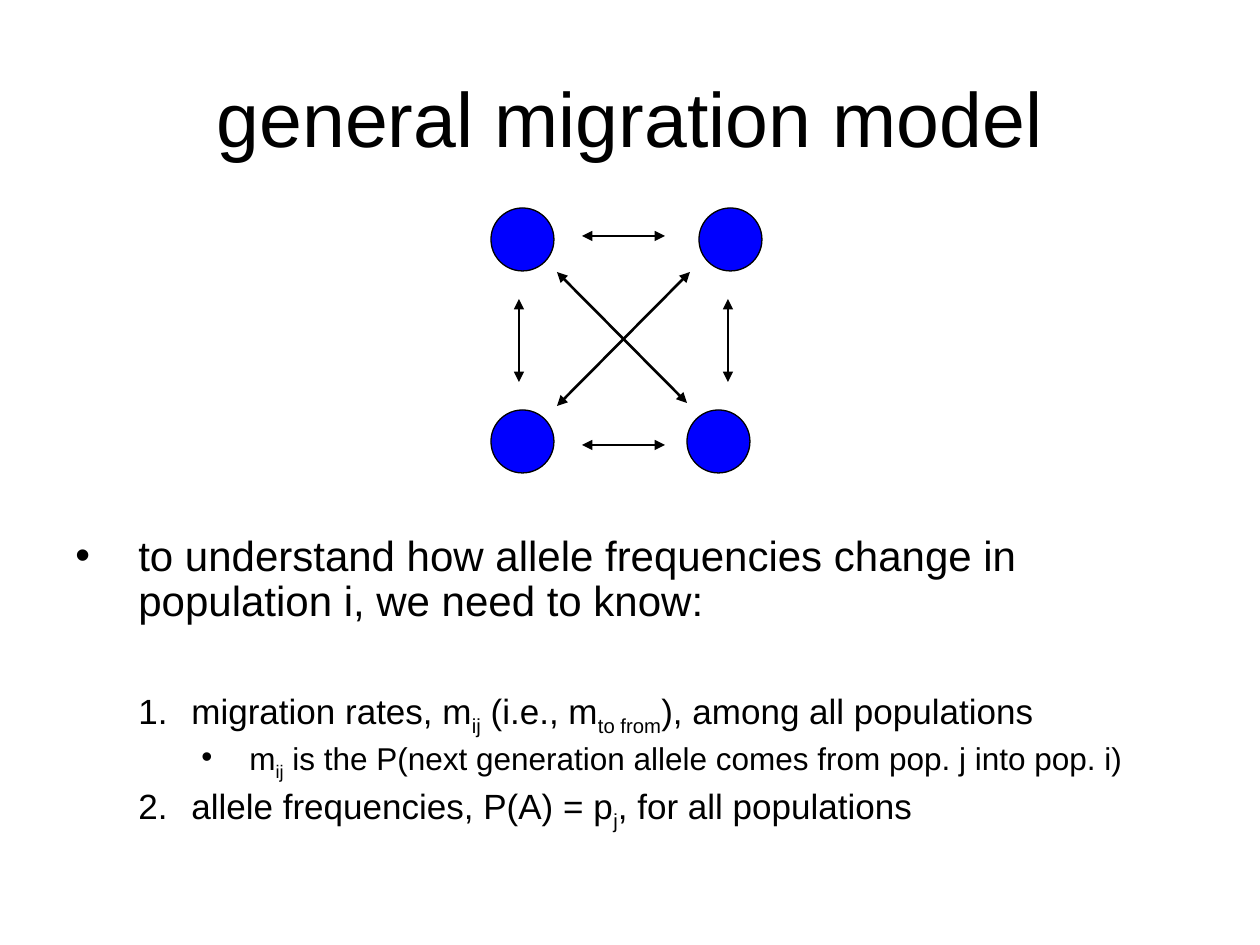
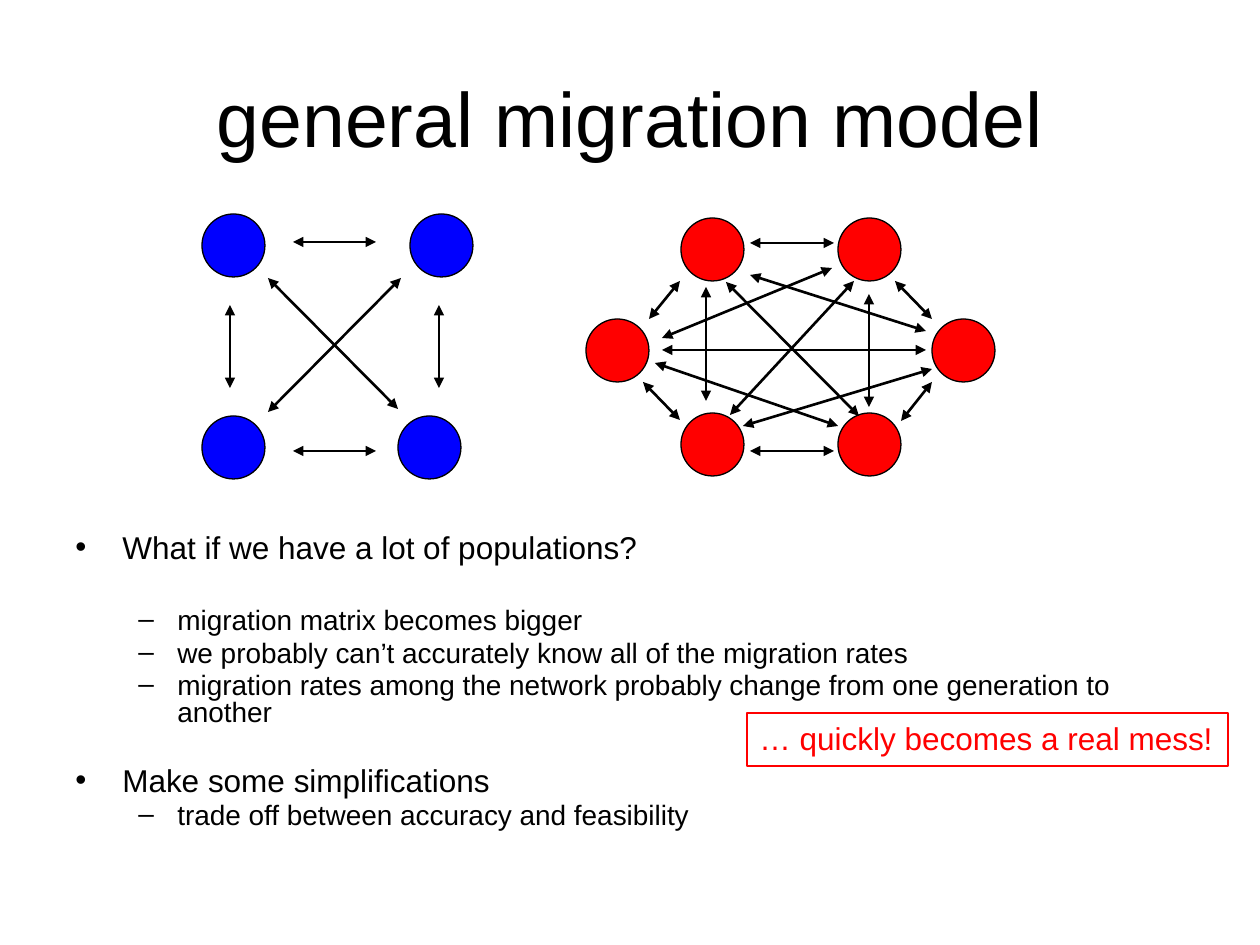
import pptx
import pptx.util
import pptx.dml.color
import pptx.enum.shapes
import pptx.enum.text
import pptx.oxml.ns
import lxml.etree

BLACK = pptx.dml.color.RGBColor(0, 0, 0)
BLUE = pptx.dml.color.RGBColor(0, 0, 255)
RED = pptx.dml.color.RGBColor(255, 0, 0)
FONT = "Arial"
TITLE = "general migration model"
SCALE = 914400 / 126
DOT = 63

SQUARE_DOTS = [(0, 0), (208, 0), (0, 202), (196, 202)]
SQUARE_ARROWS = [
    (91, 28, 174, 28), (91, 237, 174, 237),
    (237, 91, 237, 174), (28, 91, 28, 174),
    (199, 64, 66, 198), (66, 64, 196, 195),
]
HEX_DOTS = [(95, 0), (252, 0), (0, 101), (346, 101), (95, 195), (252, 195)]
HEX_ARROWS = [
    (164, 25, 248, 25), (164, 233, 248, 233),
    (57, 164, 94, 202), (309, 63, 346, 101),
    (94, 63, 63, 101), (346, 164, 315, 203),
    (120, 69, 120, 183), (283, 76, 283, 189),
    (268, 63, 144, 197), (140, 64, 273, 198),
    (346, 151, 157, 208), (246, 50, 76, 120),
    (69, 145, 252, 208), (76, 132, 340, 132),
    (340, 113, 164, 57),
]


def px(num):
    return pptx.util.Emu(round(num * SCALE))


def add(node, tag, **attrs):
    return lxml.etree.SubElement(node, pptx.oxml.ns.qn(tag), **attrs)


def style(run, size, color):
    run.font.name = FONT
    run.font.size = pptx.util.Pt(size)
    run.font.color.rgb = color


def add_slide(deck):
    slide = deck.slides.add_slide(deck.slide_layouts[5])
    title = slide.shapes.title
    title.left, title.top = px(63), px(38)
    title.width, title.height = px(1134), px(157)
    frame = title.text_frame
    frame.text = TITLE
    frame.vertical_anchor = pptx.enum.text.MSO_ANCHOR.MIDDLE
    para = frame.paragraphs[0]
    para.alignment = pptx.enum.text.PP_ALIGN.CENTER
    style(para.runs[0], 44, BLACK)
    return slide


def add_dot(slide, left, top, color):
    oval = pptx.enum.shapes.MSO_SHAPE.OVAL
    dot = slide.shapes.add_shape(oval, px(left), px(top), px(DOT), px(DOT))
    dot.shadow.inherit = False
    dot.fill.solid()
    dot.fill.fore_color.rgb = color
    dot.line.color.rgb = BLACK
    dot.line.width = pptx.util.Pt(0.75)


def add_arrow(slide, *ends):
    kind = pptx.enum.shapes.MSO_CONNECTOR.STRAIGHT
    arrow = slide.shapes.add_connector(kind, *map(px, ends))
    arrow.line.color.rgb = BLACK
    arrow.line.width = pptx.util.Pt(1.5)
    line = arrow.line._get_or_add_ln()
    add(line, "a:headEnd", type="triangle")
    add(line, "a:tailEnd", type="triangle")
    add(arrow._element.spPr, "a:effectLst")


def add_net(slide, left, top, dots, arrows, color):
    for x, y in dots:
        add_dot(slide, left + x, top + y, color)
    for x1, y1, x2, y2 in arrows:
        add_arrow(slide, left + x1, top + y1, left + x2, top + y2)


def set_bullet(para, mark, margin, indent):
    props = para._p.get_or_add_pPr()
    props.set("marL", str(px(margin)))
    props.set("indent", str(-px(indent)))
    add(props, "a:buFont", typeface=FONT)
    if mark == "1.":
        add(props, "a:buAutoNum", type="arabicPeriod")
    else:
        add(props, "a:buChar", char=mark)


def set_gap(para, gap):
    if gap:
        para.space_before = pptx.util.Pt(gap)
        return
    para.space_before = pptx.util.Pt(0)
    space = para._p.pPr.find(pptx.oxml.ns.qn("a:spcBef"))
    space.remove(space[0])
    add(space, "a:spcPct", val="20000")


def add_body(slide, levels, lines, spacing):
    box = slide.shapes.add_textbox(px(63), px(529), px(1134), px(315))
    frame = box.text_frame
    frame.word_wrap = True
    for i, (level, gap, text) in enumerate(lines):
        para = frame.add_paragraph() if i else frame.paragraphs[0]
        mark, size, margin, indent = levels[level]
        para.level = level
        para.line_spacing = spacing
        set_gap(para, gap)
        set_bullet(para, mark, margin, indent)
        for j, part in enumerate(text.split("|")):
            run = para.add_run()
            run.text = part
            style(run, size, BLACK)
            if j % 2:
                run.font._element.set("baseline", "-25000")


def add_note(slide, text):
    box = slide.shapes.add_textbox(px(747), px(713), px(481), px(53))
    box.line.color.rgb = RED
    box.line.width = pptx.util.Pt(1.5)
    frame = box.text_frame
    frame.word_wrap = False
    frame.auto_size = pptx.enum.text.MSO_AUTO_SIZE.SHAPE_TO_FIT_TEXT
    frame.text = text
    style(frame.paragraphs[0].runs[0], 18, RED)


def add_rates(deck):
    slide = add_slide(deck)
    levels = [("•", 24, 63, 63), ("1.", 20, 116, 53), ("•", 18, 174, 48)]
    add_body(slide, levels, [
        (0, 0, "to understand how allele frequencies change in population i, "
               "we need to know:"),
        (1, 37, "migration rates, m|ij| (i.e., m|to from|), "
                "among all populations"),
        (2, 0, "m|ij| is the P(next generation allele comes from pop. j "
               "into pop. i)"),
        (1, 0, "allele frequencies, P(A) = p|j|, for all populations"),
    ], 0.9)
    add_net(slide, 491, 208, SQUARE_DOTS, SQUARE_ARROWS, BLUE)


def add_mess(deck):
    slide = add_slide(deck)
    levels = [("•", 18, 47, 47), ("–", 16, 102, 39)]
    add_body(slide, levels, [
        (0, 0, "What if we have a lot of populations?"),
        (1, 25, "migration matrix becomes bigger"),
        (1, 0, "we probably can’t accurately know all of the migration rates"),
        (1, 0, "migration rates among the network probably change from one "
               "generation to another"),
        (0, 23, "Make some simplifications"),
        (1, 0, "trade off between accuracy and feasibility"),
    ], 0.8)
    add_net(slide, 202, 214, SQUARE_DOTS, SQUARE_ARROWS, BLUE)
    add_net(slide, 586, 218, HEX_DOTS, HEX_ARROWS, RED)
    add_note(slide, "… quickly becomes a real mess!")


def main():
    deck = pptx.Presentation()
    deck.slide_width, deck.slide_height = px(1260), px(945)
    add_rates(deck)
    add_mess(deck)
    deck.save("out.pptx")


main()
